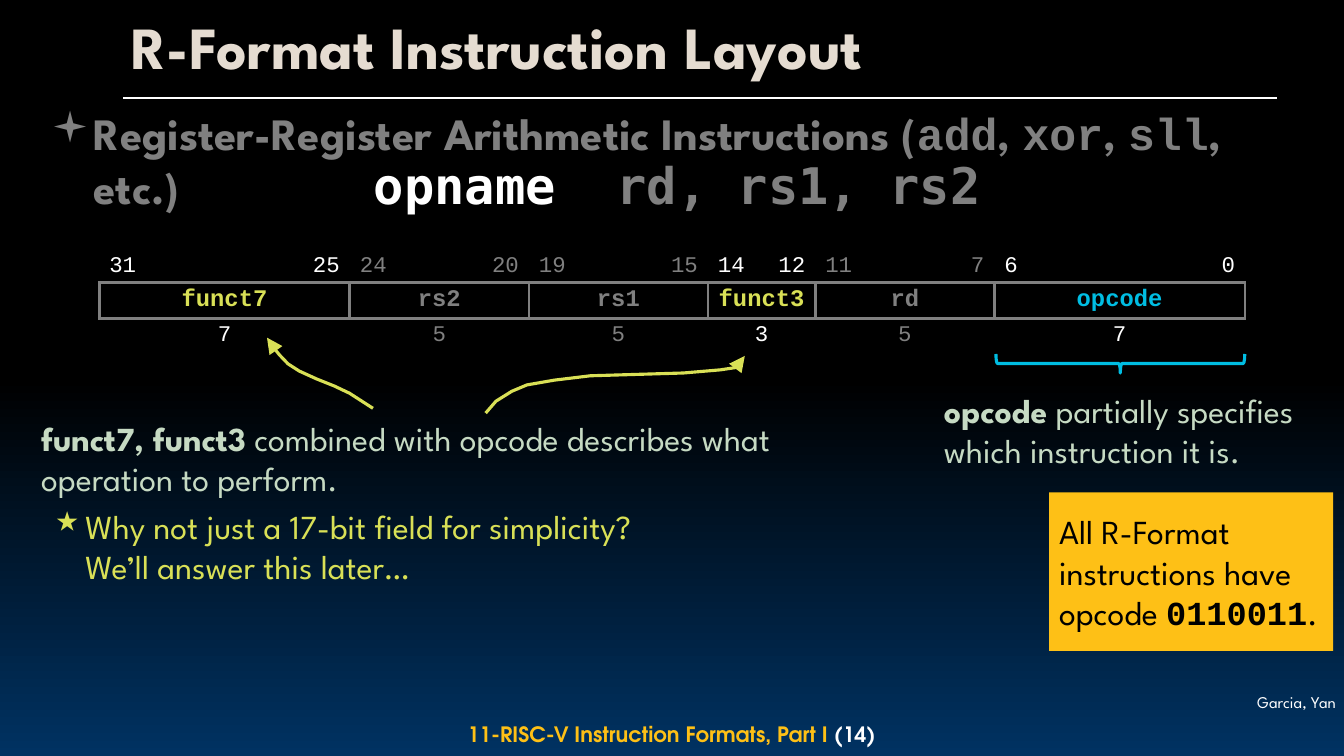
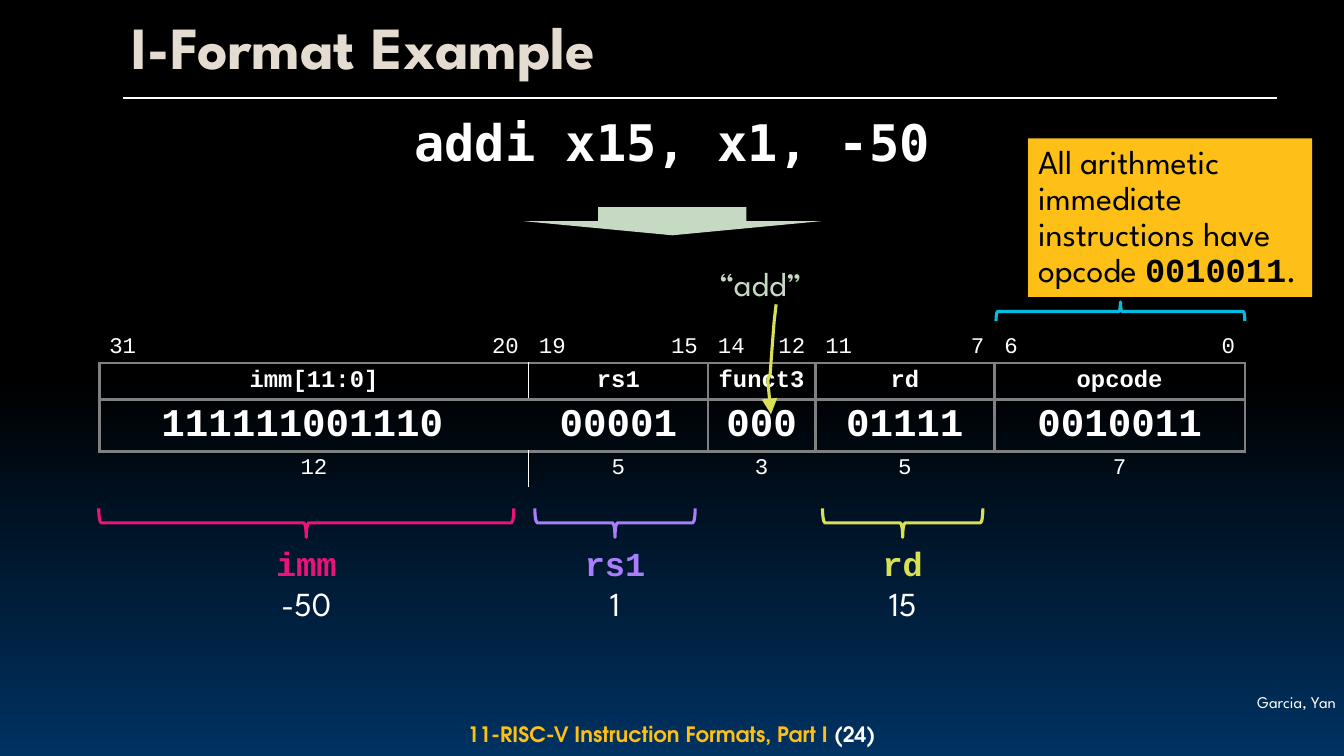
import typing

import pptx
import pptx.dml.color
import pptx.enum.shapes
import pptx.enum.text
import pptx.oxml.ns
import pptx.util
from lxml import etree

Cm = pptx.util.Cm
Pt = pptx.util.Pt
RGBColor = pptx.dml.color.RGBColor
SHAPE = pptx.enum.shapes.MSO_SHAPE
ALIGN = pptx.enum.text.PP_ALIGN
ANCHOR = pptx.enum.text.MSO_ANCHOR
qn = pptx.oxml.ns.qn

BLACK = RGBColor(0x00, 0x00, 0x00)
NAVY = RGBColor(0x00, 0x32, 0x62)
WHITE = RGBColor(0xFF, 0xFF, 0xFF)
GRAY = RGBColor(0x80, 0x80, 0x80)
CREAM = RGBColor(0xE5, 0xDC, 0xD1)
GOLD = RGBColor(0xFE, 0xC0, 0x16)
LIME = RGBColor(0xD9, 0xE0, 0x56)
SAGE = RGBColor(0xC6, 0xDA, 0xC3)
CYAN = RGBColor(0x00, 0xBD, 0xE2)
VIOLET = RGBColor(0xA9, 0x7E, 0xFA)
PINK = RGBColor(0xEB, 0x13, 0x79)

SANS = "League Spartan"
MONO = "Courier New"
CODE = "DejaVu Sans Mono"
FOOTER = "TeX Gyre Adventor"

LINE_WIDTH = 2.25
GRID_EDGE = (GRAY, LINE_WIDTH)
THIN_EDGE = (WHITE, 1)
WORD_LEFT, WORD_WIDTH, WORD_BITS = 2.5, 28.88, 32
SEVEN_BITS, FIVE_BITS, THREE_BITS = [2, 1, 1, 1, 2], [2, 1, 2], [1.5, 1.5]
COLUMN_BITS = SEVEN_BITS + 2 * FIVE_BITS + THREE_BITS + FIVE_BITS + SEVEN_BITS
ROW_HEIGHTS = {"ends": 0.92, "name": 0.91, "value": 1.3, "bits": 0.9}
PLAIN_TABLE = "{2D5ABB26-0587-4C30-8999-92F81FD0307C}"


class Style(typing.NamedTuple):
    font: str
    size: float
    color: RGBColor
    bold: bool = False


class Field(typing.NamedTuple):
    name: str
    high: int
    low: int
    name_color: RGBColor = WHITE
    number_color: RGBColor = WHITE
    value: str = ""

    @property
    def bits(self):
        return self.high - self.low + 1


def write(paragraph, runs, align=ALIGN.LEFT, spacing=None):
    for text, style in runs:
        for index, line in enumerate(text.split("\n")):
            if index:
                paragraph.add_line_break()
            run = paragraph.add_run()
            run.text = line
            run.font.name = style.font
            run.font.size = Pt(style.size)
            run.font.bold = style.bold
            run.font.color.rgb = style.color
    paragraph.alignment = align
    if spacing:
        paragraph.line_spacing = spacing


def add_bullet(paragraph, character, percent, margin, indent):
    properties = paragraph._p.get_or_add_pPr()
    properties.set("marL", str(Cm(margin)))
    properties.set("indent", str(Cm(indent)))
    etree.SubElement(properties, qn("a:buSzPct"), val=str(percent * 1000))
    etree.SubElement(properties, qn("a:buFont"), typeface="Wingdings")
    etree.SubElement(properties, qn("a:buChar"), char=character)


def add_text(slide, box, paragraphs, align=ALIGN.LEFT, spacing=None, anchor=ANCHOR.TOP):
    frame = slide.shapes.add_textbox(*map(Cm, box)).text_frame
    frame.word_wrap = True
    frame.vertical_anchor = anchor
    for index, runs in enumerate(paragraphs):
        paragraph = frame.add_paragraph() if index else frame.paragraphs[0]
        write(paragraph, runs, align, spacing)
    return frame


def add_filled(slide, kind, box, color):
    shape = slide.shapes.add_shape(kind, *map(Cm, box))
    shape.shadow.inherit = False
    shape.fill.solid()
    shape.fill.fore_color.rgb = color
    shape.line.fill.background()
    return shape


def outline(shape, color):
    shape.shadow.inherit = False
    shape.fill.background()
    shape.line.color.rgb = color
    shape.line.width = Pt(LINE_WIDTH)


def add_brace(slide, box, color, rotation=270):
    left, top, width, height = box
    shape = slide.shapes.add_shape(
        SHAPE.LEFT_BRACE,
        Cm(left + (width - height) / 2), Cm(top + (height - width) / 2),
        Cm(height), Cm(width))
    shape.rotation = rotation
    outline(shape, color)


def add_curved_arrow(slide, points):
    start, *rest = [(round(x * 100), round(y * 100)) for x, y in points]
    builder = slide.shapes.build_freeform(*start, scale=Cm(0.01))
    builder.add_line_segments(rest, close=False)
    shape = builder.convert_to_shape()
    outline(shape, LIME)
    line = shape.line._get_or_add_ln()
    etree.SubElement(line, qn("a:round"))
    etree.SubElement(line, qn("a:tailEnd"), type="triangle", w="lg", len="lg")


def add_callout(slide, left, top, text, opcode, spacing=None):
    shape = add_filled(slide, SHAPE.RECTANGLE, (left, top, 7.16, 3.99), GOLD)
    frame = shape.text_frame
    frame.word_wrap = True
    frame.vertical_anchor = ANCHOR.MIDDLE
    plain = Style(SANS, 24, BLACK)
    runs = [(text, plain), (opcode, Style(MONO, 24, BLACK, True)), (".", plain)]
    write(frame.paragraphs[0], runs, spacing=spacing)


def add_instruction(slide, left, top, runs):
    styled = [(text, Style(CODE, 36, color, True)) for text, color in runs]
    add_text(slide, (left, top, 17.93, 1.8), [styled], ALIGN.CENTER)


def add_operand(slide, center, width, name, value, color):
    add_brace(slide, (center - width / 2, 12.81, width, 0.73), color)
    add_text(slide, (center - 1.51, 13.56, 3.02, 2.31),
             [[(name, Style(MONO, 24, color, True))],
              [(value, Style(SANS, 24, WHITE))]], ALIGN.CENTER)


def set_borders(cell, left, right, top, bottom):
    properties = cell._tc.get_or_add_tcPr()
    for side, edge in zip("LRTB", (left, right, top, bottom)):
        line = etree.SubElement(properties, qn("a:ln" + side))
        if edge:
            color, width = edge
            line.set("w", str(Pt(width)))
            fill = etree.SubElement(line, qn("a:solidFill"))
            etree.SubElement(fill, qn("a:srgbClr"), val=str(color))
        else:
            etree.SubElement(line, qn("a:noFill"))
    cell.fill.background()


def column_at(bits):
    return next(count for count in range(len(COLUMN_BITS) + 1)
                if sum(COLUMN_BITS[:count]) == bits)


def add_word_table(slide, top, fields, kinds, thin_boundary=None):
    heights = [ROW_HEIGHTS[kind] for kind in kinds]
    frame = slide.shapes.add_table(
        len(kinds), len(COLUMN_BITS),
        Cm(WORD_LEFT), Cm(top), Cm(WORD_WIDTH), Cm(sum(heights)))
    table = frame.table
    table.first_row = table.horz_banding = False
    table._tbl.tblPr.find(qn("a:tableStyleId")).text = PLAIN_TABLE
    for row, height in zip(table.rows, heights):
        row.height = Cm(height)
    for column, bits in zip(table.columns, COLUMN_BITS):
        column.width = Cm(WORD_WIDTH / WORD_BITS * bits)

    def side_edge(kind, boundary):
        if kind == "ends":
            return None
        if boundary == thin_boundary:
            return None if kind == "value" else THIN_EDGE
        return None if kind == "bits" else GRID_EDGE

    for row, kind in enumerate(kinds):
        upper = None if kind == "ends" else GRID_EDGE
        lower = None if kind == "bits" else GRID_EDGE
        for index, field in enumerate(fields):
            start = column_at(WORD_BITS - 1 - field.high)
            stop = column_at(WORD_BITS - field.low)
            cells = [table.cell(row, column) for column in range(start, stop)]
            first, last = cells[0], cells[-1]
            number = Style(MONO, 16, field.number_color)
            if kind == "ends":
                parts = [(first, str(field.high), number, ALIGN.LEFT),
                         (last, str(field.low), number, ALIGN.RIGHT)]
            else:
                first.merge(last)
                text, style = {
                    "name": (field.name, Style(MONO, 17, field.name_color, True)),
                    "value": (field.value, Style(MONO, 28, WHITE, True)),
                    "bits": (str(field.bits), number),
                }[kind]
                parts = [(first, text, style, ALIGN.CENTER)]
            for cell, text, style, align in parts:
                write(cell.text_frame.paragraphs[0], [(text, style)], align, 0.9)
                if kind == "ends":
                    cell.vertical_anchor = ANCHOR.BOTTOM
            left, right = side_edge(kind, index), side_edge(kind, index + 1)
            for cell in cells:
                if not cell.text_frame.text:
                    cell.margin_top = cell.margin_bottom = 0
                set_borders(cell, left if cell is first else None,
                            right if cell in (first, last) else None, upper, lower)


def add_base_slide(presentation, title, number):
    slide = presentation.slides.add_slide(presentation.slide_layouts[6])
    fill = slide.background.fill
    fill.gradient()
    fill.gradient_angle = 270
    for stop, position, color in zip(fill.gradient_stops, (0.5, 1), (BLACK, NAVY)):
        stop.position = position
        stop.color.rgb = color
    authors = add_text(slide, (30.21, 17.35, 3.66, 0.66),
                       [[("Garcia, Yan", Style(SANS, 11.7, WHITE))]], ALIGN.RIGHT)
    authors.margin_left = authors.margin_right = Cm(0.2)
    authors.margin_top = authors.margin_bottom = Cm(0.08)
    add_text(slide, (6.22, 18.09, 21.41, 0.81),
             [[("11-RISC-V Instruction Formats, Part I ", Style(FOOTER, 15.1, GOLD, True)),
               (f"({number})", Style(FOOTER, 15.1, WHITE, True))]],
             ALIGN.CENTER, anchor=ANCHOR.MIDDLE)
    rule = slide.shapes.add_connector(
        pptx.enum.shapes.MSO_CONNECTOR.STRAIGHT, Cm(3.1), Cm(2.46), Cm(32.18), Cm(2.46))
    rule.line.color.rgb = WHITE
    rule.line.width = Pt(1.5)
    etree.SubElement(rule._element.spPr, qn("a:effectLst"))
    add_text(slide, (3.07, 0.21, 29.18, 2.13),
             [[(title, Style(SANS, 42.7, CREAM, True))]], spacing=0.9, anchor=ANCHOR.MIDDLE)
    return slide


def build_layout_slide(presentation):
    slide = add_base_slide(presentation, "R-Format Instruction Layout", 14)
    add_instruction(slide, 8.1, 3.76, [("opname  ", WHITE), ("rd, rs1, rs2", GRAY)])
    heading, mnemonic = (Style(font, 32, GRAY, True) for font in (SANS, MONO))
    body = add_text(slide, (0.81, 2.54, 32.61, 1.73), [[
        ("Register-Register Arithmetic Instructions (", heading), ("add", mnemonic),
        (", ", heading), ("xor", mnemonic), (", ", heading), ("sll", mnemonic),
        (", etc.)", heading)]])
    add_bullet(body.paragraphs[0], "▪", 95, 1.3, -1.07)
    add_word_table(slide, 6.19, [
        Field("funct7", 31, 25, LIME), Field("rs2", 24, 20, GRAY, GRAY),
        Field("rs1", 19, 15, GRAY, GRAY), Field("funct3", 14, 12, LIME),
        Field("rd", 11, 7, GRAY, GRAY), Field("opcode", 6, 0, CYAN),
    ], ("ends", "name", "bits"))
    strong, plain = Style(SANS, 24, SAGE, True), Style(SANS, 24, SAGE)
    add_text(slide, (23.54, 9.7, 9.88, 2.31), [[
        ("opcode", strong), (" partially specifies which instruction it is.", plain)]])
    notes = add_text(slide, (0.79, 10.41, 19.94, 5.56), [
        [("funct7, funct3", strong),
         (" combined with opcode describes what operation to perform.", plain)],
        [("Why not just a 17-bit field for simplicity?\nWe’ll answer this later…",
          Style(SANS, 24, LIME))]])
    question = notes.paragraphs[1]
    add_bullet(question, "▫", 90, 1.11, -0.79)
    question.space_before = Pt(5)
    add_brace(slide, (25.1, 8.92, 6.27, 0.48), CYAN)
    add_curved_arrow(slide, [
        (12.24, 10.41), (12.5, 10.11), (12.9, 9.86), (13.28, 9.7), (13.97, 9.58),
        (14.88, 9.47), (17.22, 9.4), (18.16, 9.32), (18.62, 9.25), (18.77, 9.02),
        (18.77, 8.97)])
    add_curved_arrow(slide, [
        (9.4, 10.29), (8.81, 9.91), (8.43, 9.73), (7.98, 9.55), (7.54, 9.35),
        (7.26, 9.17), (7.04, 8.94), (6.88, 8.74), (6.73, 8.51)])
    add_callout(slide, 26.44, 12.41, "All R-Format instructions have opcode ", "0110011")


def build_example_slide(presentation):
    slide = add_base_slide(presentation, "I-Format Example", 24)
    add_instruction(slide, 7.97, 2.67, [("addi x15, x1, -50", WHITE)])
    add_filled(slide, SHAPE.DOWN_ARROW, (13.21, 5.22, 7.47, 0.71), SAGE)
    add_word_table(slide, 8.23, [
        Field("imm[11:0]", 31, 20, value="111111001110 "),
        Field("rs1", 19, 15, value="00001"), Field("funct3", 14, 12, value="000"),
        Field("rd", 11, 7, value="01111"), Field("opcode", 6, 0, value="0010011"),
    ], ("ends", "name", "value", "bits"), thin_boundary=1)
    add_brace(slide, (25.1, 7.61, 6.27, 0.48), CYAN, 90)
    add_text(slide, (17.65, 6.5, 3.02, 1.27),
             [[("“add”", Style(SANS, 24, SAGE))]], ALIGN.CENTER)
    for operand in ((22.75, 4.04, "rd", "15", LIME), (15.5, 4.04, "rs1", "1", VIOLET),
                    (7.72, 10.46, "imm", "-50", PINK)):
        add_operand(slide, *operand)
    add_callout(slide, 25.91, 3.49, "All arithmetic immediate instructions have opcode ",
                "0010011", 0.9)
    add_curved_arrow(slide, [
        (19.56, 7.67), (19.51, 8.1), (19.46, 8.74), (19.41, 9.42), (19.35, 9.58),
        (19.41, 10.24), (19.43, 10.44)])


def main():
    presentation = pptx.Presentation()
    presentation.slide_width = Cm(33.87)
    presentation.slide_height = Cm(19.05)
    build_layout_slide(presentation)
    build_example_slide(presentation)
    presentation.save("out.pptx")


if __name__ == "__main__":
    main()
